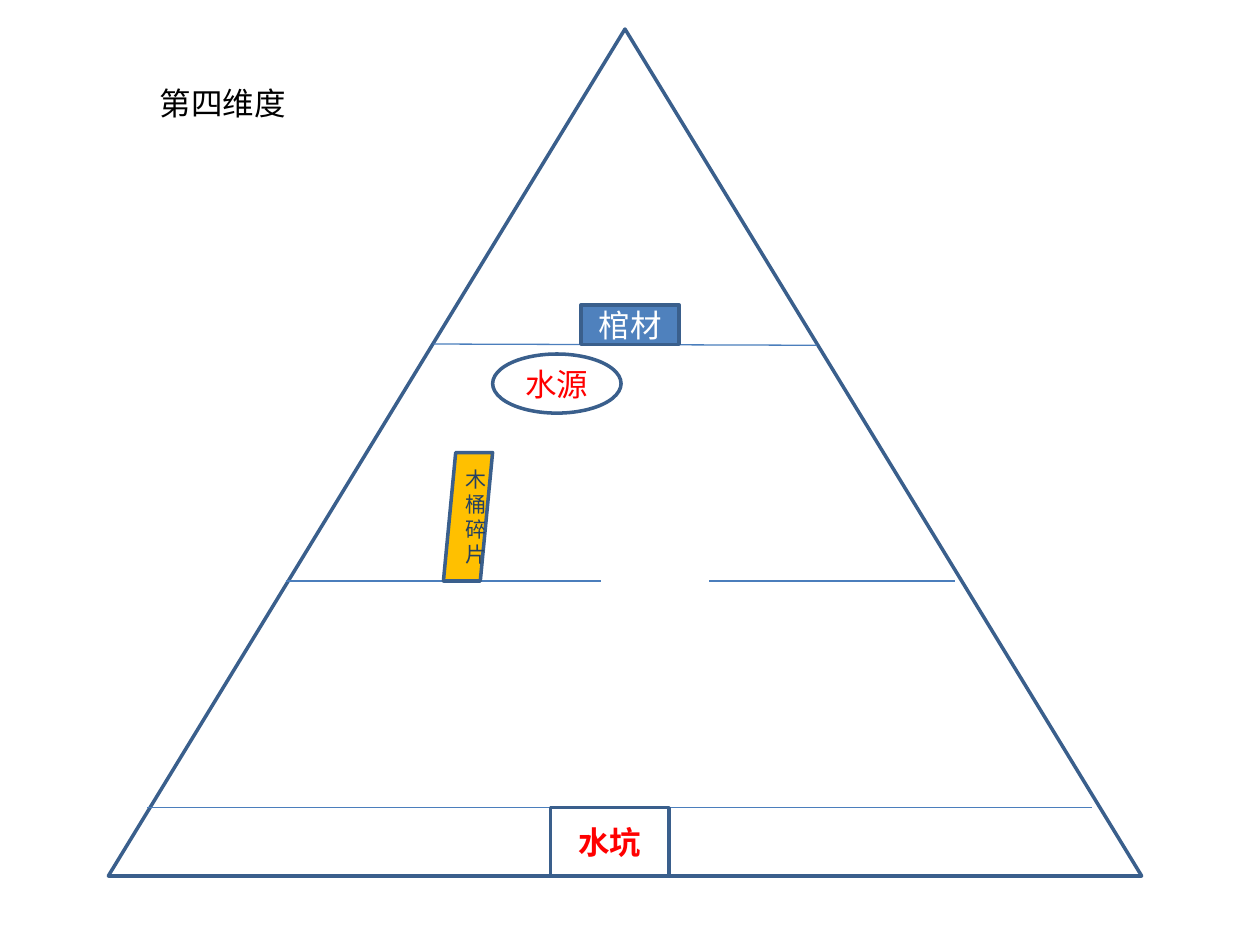
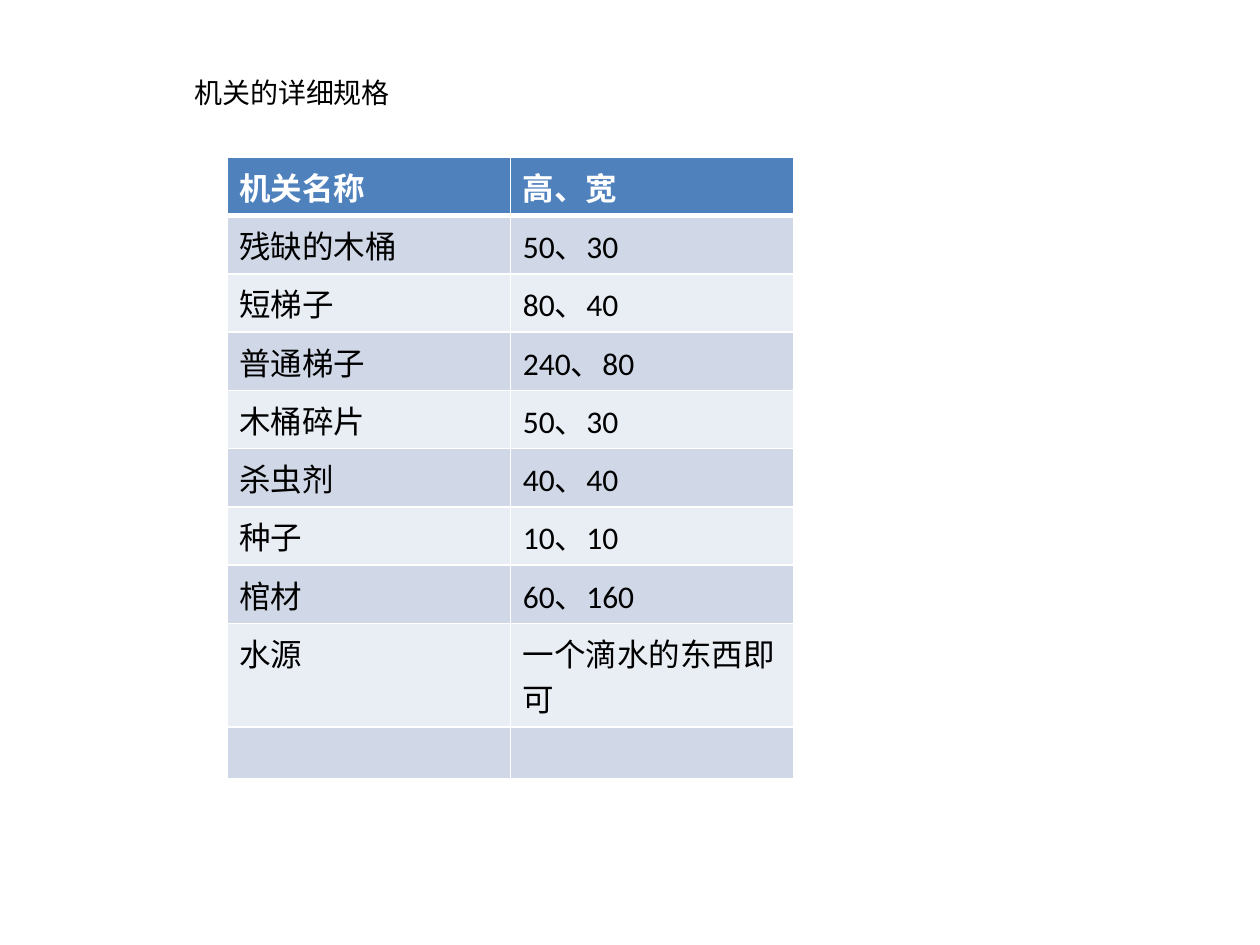
import pptx
import pptx.util
import pptx.dml.color
import pptx.enum.shapes
import pptx.enum.text
import pptx.oxml.ns
from lxml import etree

Pt = pptx.util.Pt
SHAPE = pptx.enum.shapes.MSO_SHAPE
ALIGN = pptx.enum.text.PP_ALIGN
ANCHOR = pptx.enum.text.MSO_ANCHOR
FONT = "Calibri"
COLORS = {
    "outline": "3A5F8C", "level": "4B7EBC", "blue": "4F81BD", "orange": "FFC000",
    "navy": "254061", "red": "FF0000", "black": "000000", "white": "FFFFFF",
    "band_dark": "D0D8E8", "band_light": "E9EDF4",
}


def rgb(name):
    return pptx.dml.color.RGBColor.from_string(COLORS[name])


def set_text(tf, text, size=18, color="black", bold=False, align=None):
    p = tf.paragraphs[0]
    p.alignment = align
    r = p.add_run()
    r.text = text
    r.font.name, r.font.size, r.font.bold = FONT, Pt(size), bold
    r.font.color.rgb = rgb(color)


def add_mark(s, kind, x, y, w, h, text=None, fill=None, **fmt):
    """Outlined shape with optional fill and centred text."""
    sp = s.shapes.add_shape(kind, Pt(x), Pt(y), Pt(w), Pt(h))
    sp.shadow.inherit = False
    if fill:
        sp.fill.solid()
        sp.fill.fore_color.rgb = rgb(fill)
    else:
        sp.fill.background()
    sp.line.color.rgb = rgb("outline")
    sp.line.width = Pt(2)
    if text:
        sp.text_frame.word_wrap = True
        sp.text_frame.vertical_anchor = ANCHOR.MIDDLE
        set_text(sp.text_frame, text, align=ALIGN.CENTER, **fmt)


def add_line(s, x1, y1, x2, y2, color):
    line = s.shapes.add_connector(pptx.enum.shapes.MSO_CONNECTOR.STRAIGHT,
                                  Pt(x1), Pt(y1), Pt(x2), Pt(y2))
    line.line.color.rgb = rgb(color)
    line.line.width = Pt(0.75)
    etree.SubElement(line._element.spPr, pptx.oxml.ns.qn("a:effectLst"))


def add_label(s, x, y, w, h, text):
    tf = s.shapes.add_textbox(Pt(x), Pt(y), Pt(w), Pt(h)).text_frame
    tf.word_wrap = True
    tf.auto_size = pptx.enum.text.MSO_AUTO_SIZE.SHAPE_TO_FIT_TEXT
    set_text(tf, text)


def add_pyramid(s, x, y, w, h):
    """Triangle with three floors and the objects standing on them."""
    upper, middle, lower = y + 180, y + 315.4, y + 445
    add_mark(s, SHAPE.ISOSCELES_TRIANGLE, x, y, w, h)

    # Floors
    add_line(s, x + 185.8, upper, x + 404.7, upper + 0.7, "level")
    add_line(s, x + 101.5, middle, x + 483.9, middle, "level")
    add_line(s, x + 22.3, lower, x + 562.3, lower, "level")

    # Objects
    add_mark(s, SHAPE.RECTANGLE, x + 252.7, lower, 67.7, 39.4, "水坑",
             color="red", bold=True)
    add_label(s, 84.2, 44.6, 112.3, 29.1, "第四维度")
    add_mark(s, SHAPE.OVAL, x + 219.6, upper + 5.7, 73.4, 33.8, "水源", color="red")
    add_mark(s, SHAPE.RECTANGLE, x + 270, upper - 22.3, 56.2, 22.5, "棺材",
             fill="blue", color="white")
    add_mark(s, SHAPE.PARALLELOGRAM, x + 191.5, middle - 73.4, 28.1, 73.4, "木桶碎片",
             fill="orange", size=12, color="navy")

    # Opening in the middle floor
    add_line(s, x + 281.5, middle, x + 343.5, middle, "white")


def set_borders(cell, bottom):
    """White cell edges; add them before the fill to keep the XML order."""
    tcPr = cell._tc.get_or_add_tcPr()
    for edge, width in (("L", 1), ("R", 1), ("T", 1), ("B", bottom)):
        ln = etree.SubElement(tcPr, pptx.oxml.ns.qn(f"a:ln{edge}"), w=str(Pt(width)))
        fill = etree.SubElement(ln, pptx.oxml.ns.qn("a:solidFill"))
        etree.SubElement(fill, pptx.oxml.ns.qn("a:srgbClr"), val=COLORS["white"])


def add_spec_table(s, x, y, w, row_h, rows):
    table = s.shapes.add_table(len(rows), 2, Pt(x), Pt(y), Pt(w),
                               Pt(row_h * len(rows))).table
    for i, row in enumerate(rows):
        table.rows[i].height = Pt(row_h)
        head = i == 0
        band = "blue" if head else ("band_light", "band_dark")[i % 2]
        for j, text in enumerate(row):
            cell = table.cell(i, j)
            set_borders(cell, 3 if head else 1)
            cell.fill.solid()
            cell.fill.fore_color.rgb = rgb(band)
            if text:
                set_text(cell.text_frame, text, bold=head,
                         color="white" if head else "black")


def set_title(s, x, y, w, h, text):
    sp = s.shapes.title
    sp.left, sp.top, sp.width, sp.height = Pt(x), Pt(y), Pt(w), Pt(h)
    sp.text_frame.vertical_anchor = ANCHOR.MIDDLE
    set_text(sp.text_frame, text, size=16, align=ALIGN.CENTER)


SPECS = [
    ("机关名称", "高、宽"),
    ("残缺的木桶", "50、30"),
    ("短梯子", "80、40"),
    ("普通梯子", "240、80"),
    ("木桶碎片", "50、30"),
    ("杀虫剂", "40、40"),
    ("种子", "10、10"),
    ("棺材", "60、160"),
    ("水源", "一个滴水的东西即可"),
    ("", ""),
]

prs = pptx.Presentation()
prs.slide_width, prs.slide_height = Pt(720), Pt(540)

# Slide 1: pyramid map
s = prs.slides.add_slide(prs.slide_layouts[6])
add_pyramid(s, 61.9, 16.6, 590.5, 484)

# Slide 2: specifications
s = prs.slides.add_slide(prs.slide_layouts[5])
set_title(s, 36, 21.6, 262, 62.6, "机关的详细规格")
add_spec_table(s, 129.6, 90, 324, 29.2, SPECS)

prs.save("out.pptx")
